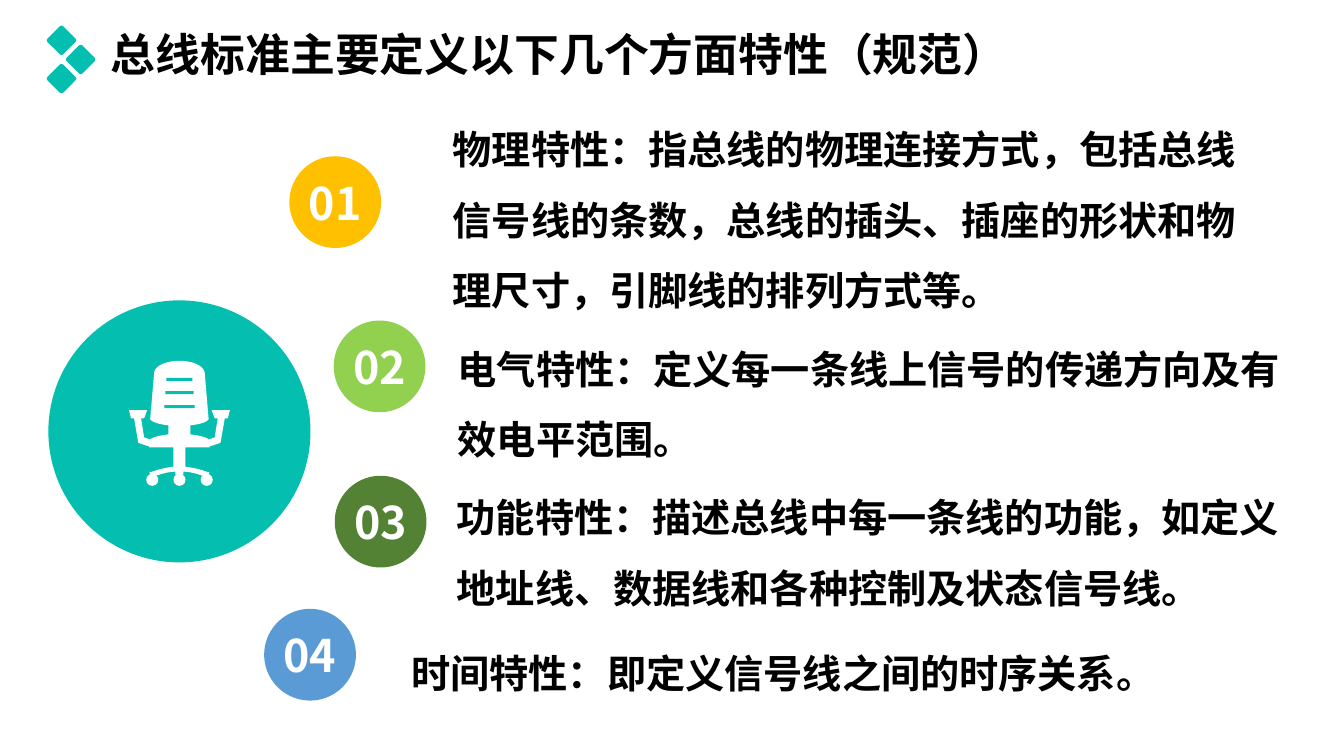
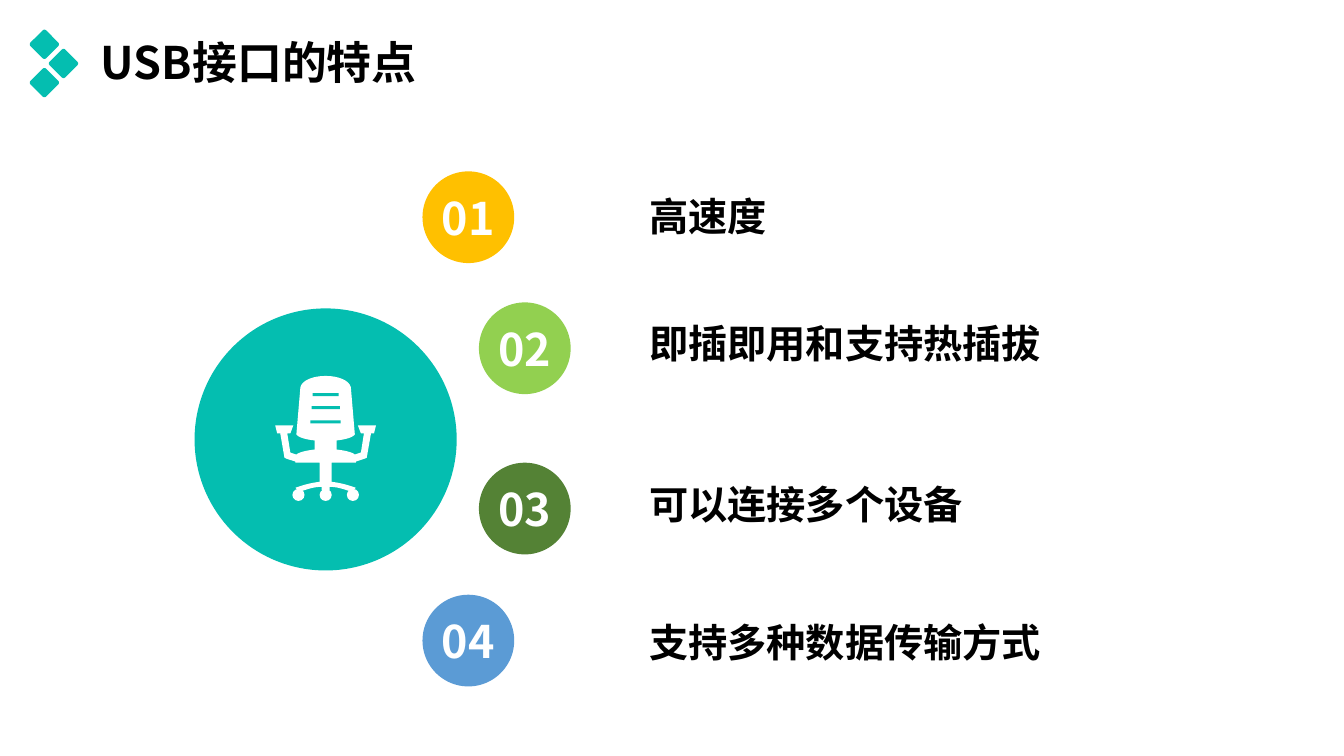
from lxml.etree import SubElement
from pptx import Presentation
from pptx.dml.color import RGBColor
from pptx.enum.shapes import MSO_SHAPE
from pptx.enum.text import MSO_ANCHOR, MSO_AUTO_SIZE, PP_ALIGN
from pptx.oxml.ns import qn
from pptx.util import Inches, Pt

FONT = "Noto Sans CJK SC"
TEAL = "04BEB0"
WHITE = "FFFFFF"
BLACK = "000000"
BADGE_COLOURS = ["FFC000", "92D050", "548235", "5B9BD5"]
BADGE_SIZE = 0.91
DISC_SIZE = 2.6

CHAIR_HALF = [
    [(0.12, 0.04), (0.23, 0.08), (0.25, 0.15)],
    (0.29, 0.62),
    [(0.27, 0.65), (0.2, 0.67), (0.11, 0.68)],
    (0.11, 0.77),
    [(0.2, 0.78), (0.27, 0.8), (0.29, 0.82)],
    (0.35, 0.8), (0.38, 0.61), (0.35, 0.61), (0.32, 0.53), (0.5, 0.53),
    (0.48, 0.61), (0.45, 0.61), (0.41, 0.84), (0.41, 0.85), (0.39, 0.86),
    (0.3, 0.89), (0.3, 0.9), (0.06, 0.9), (0.06, 1.09),
    [(0.14, 1.1), (0.22, 1.12), (0.3, 1.15)],
    (0.29, 1.16), (0.23, 1.18),
    [(0.17, 1.16), (0.11, 1.14), (0.04, 1.14)],
    (0.04, 1.17),
]


def rgb(colour):
    return RGBColor.from_string(colour)


def paint(shape, colour):
    shape.shadow.inherit = False
    shape.fill.solid()
    shape.fill.fore_color.rgb = rgb(colour)
    shape.line.fill.background()


def add_part(slide, kind, left, top, width, height, colour):
    part = slide.shapes.add_shape(
        kind, Inches(left), Inches(top), Inches(width), Inches(height))
    paint(part, colour)
    return part


def write(shape, text, size, colour, align=PP_ALIGN.LEFT, spacing=1.0):
    frame = shape.text_frame
    frame.text = text
    paragraph = frame.paragraphs[0]
    properties = paragraph._p.get_or_add_pPr()
    properties.set("marL", "0")
    properties.set("indent", "0")
    SubElement(properties, qn("a:buNone"))
    paragraph.alignment = align
    paragraph.line_spacing = spacing
    paragraph.space_before = Pt(0)
    font = paragraph.runs[0].font
    font.name = FONT
    font.size = Pt(size)
    font.bold = True
    font.color.rgb = rgb(colour)
    SubElement(font._element, qn("a:ea")).set("typeface", FONT)


def fill_placeholder(placeholder, box, text, size, spacing):
    left, top, width, height = box
    placeholder.left, placeholder.top = Inches(left), Inches(top)
    placeholder.width, placeholder.height = Inches(width), Inches(height)
    frame = placeholder.text_frame
    frame.word_wrap = True
    frame.auto_size = MSO_AUTO_SIZE.NONE
    frame.vertical_anchor = MSO_ANCHOR.TOP
    write(placeholder, text, size, BLACK, spacing=spacing)


def add_title_marker(slide, left, top):
    side, step, centre = 0.22, 0.19, 0.15
    for column, row in [(0, 0), (1, 1), (0, 2)]:
        tile = add_part(
            slide, MSO_SHAPE.ROUNDED_RECTANGLE,
            left + centre + column * step - side / 2,
            top + centre + row * step - side / 2, side, side, TEAL)
        tile.adjustments[0] = 0.11
        tile.rotation = 45


def curve_points(start, first, second, end, steps=8):
    for step in range(1, steps + 1):
        t = step / steps
        weights = [(1 - t) ** 3, 3 * t * (1 - t) ** 2, 3 * t * t * (1 - t), t ** 3]
        yield tuple(
            sum(w * point[axis] for w, point in
                zip(weights, (start, first, second, end)))
            for axis in (0, 1))


def chair_outline():
    half = [(0, 0.04)]
    for piece in CHAIR_HALF:
        if isinstance(piece, list):
            half.extend(list(curve_points(half[-1], *piece)))
        else:
            half.append(piece)
    return half + [(-x, y) for x, y in reversed(half)]


def add_chair(slide, centre, top):
    points = [(Inches(centre + x), Inches(top + y)) for x, y in chair_outline()]
    builder = slide.shapes.build_freeform(*points[0])
    builder.add_line_segments(points[1:], close=True)
    paint(builder.convert_to_shape(), WHITE)
    for offset in (-0.27, 0, 0.27):
        add_part(slide, MSO_SHAPE.OVAL, centre + offset - 0.06, top + 1.16,
                 0.12, 0.12, WHITE)
    for slat_top, width in [(0.21, 0.26), (0.34, 0.28), (0.48, 0.3)]:
        add_part(slide, MSO_SHAPE.RECTANGLE, centre - width / 2, top + slat_top,
                 width, 0.03, TEAL)


def add_disc(slide, left, top, chair_offset):
    add_part(slide, MSO_SHAPE.OVAL, left, top, DISC_SIZE, DISC_SIZE, TEAL)
    add_chair(slide, left + DISC_SIZE / 2, top + chair_offset)


def add_badge(slide, number, left, top):
    badge = add_part(slide, MSO_SHAPE.OVAL, left, top, BADGE_SIZE, BADGE_SIZE,
                     BADGE_COLOURS[number - 1])
    frame = badge.text_frame
    frame.margin_left = frame.margin_right = 0
    frame.margin_top = frame.margin_bottom = 0
    frame.word_wrap = False
    frame.vertical_anchor = MSO_ANCHOR.MIDDLE
    write(badge, f"{number:02d}", 32, WHITE, PP_ALIGN.CENTER)


def add_points_slide(deck, title, title_box, marker, disc, items, spacing):
    slide = deck.slides.add_slide(deck.slide_layouts.get_by_name("Comparison"))
    fill_placeholder(slide.shapes.title, title_box, title, 32, 0.9)
    add_title_marker(slide, *marker)
    add_disc(slide, *disc)
    for number, (badge, box, text) in enumerate(items, 1):
        add_badge(slide, number, *badge)
        fill_placeholder(slide.placeholders[number], box, text, 28, spacing)


def main():
    deck = Presentation()
    deck.slide_width, deck.slide_height = Inches(13.33), Inches(7.5)
    add_points_slide(
        deck, "总线标准主要定义以下几个方面特性（规范）",
        (1, 0.28, 9.3, 0.59), (0.46, 0.25), (0.48, 2.98, 0.56),
        [
            ((2.87, 1.55), (4.39, 0.96, 8.15, 2.22),
             "物理特性：指总线的物理连接方式，包括总线信号线的条数，总线的插头、插座的形状和物理尺寸，引脚线的排列方式等。"),
            ((3.31, 3.18), (4.44, 3.14, 8.36, 1.51),
             "电气特性：定义每一条线上信号的传递方向及有效电平范围。"),
            ((3.32, 4.72), (4.43, 4.61, 8.62, 1.51),
             "功能特性：描述总线中每一条线的功能，如定义地址线、数据线和各种控制及状态信号线。"),
            ((2.62, 6.04), (3.98, 6.16, 9, 0.81),
             "时间特性：即定义信号线之间的时序关系。"),
        ], 1.5)
    features = [
        (4.19, 1.7, 1.86, "高速度"),
        (4.75, 3, 3.12, "即插即用和支持热插拔"),
        (4.75, 4.59, 4.71, "可以连接多个设备"),
        (4.19, 5.9, 6.08, "支持多种数据传输方式"),
    ]
    add_points_slide(
        deck, "USB接口的特点",
        (0.9, 0.35, 6.53, 0.59), (0.29, 0.29), (1.93, 3.06, 0.63),
        [((left, top), (6.34, text_top, 5, 0.57), text)
         for left, top, text_top, text in features], 1.0)
    deck.save("out.pptx")


if __name__ == "__main__":
    main()
